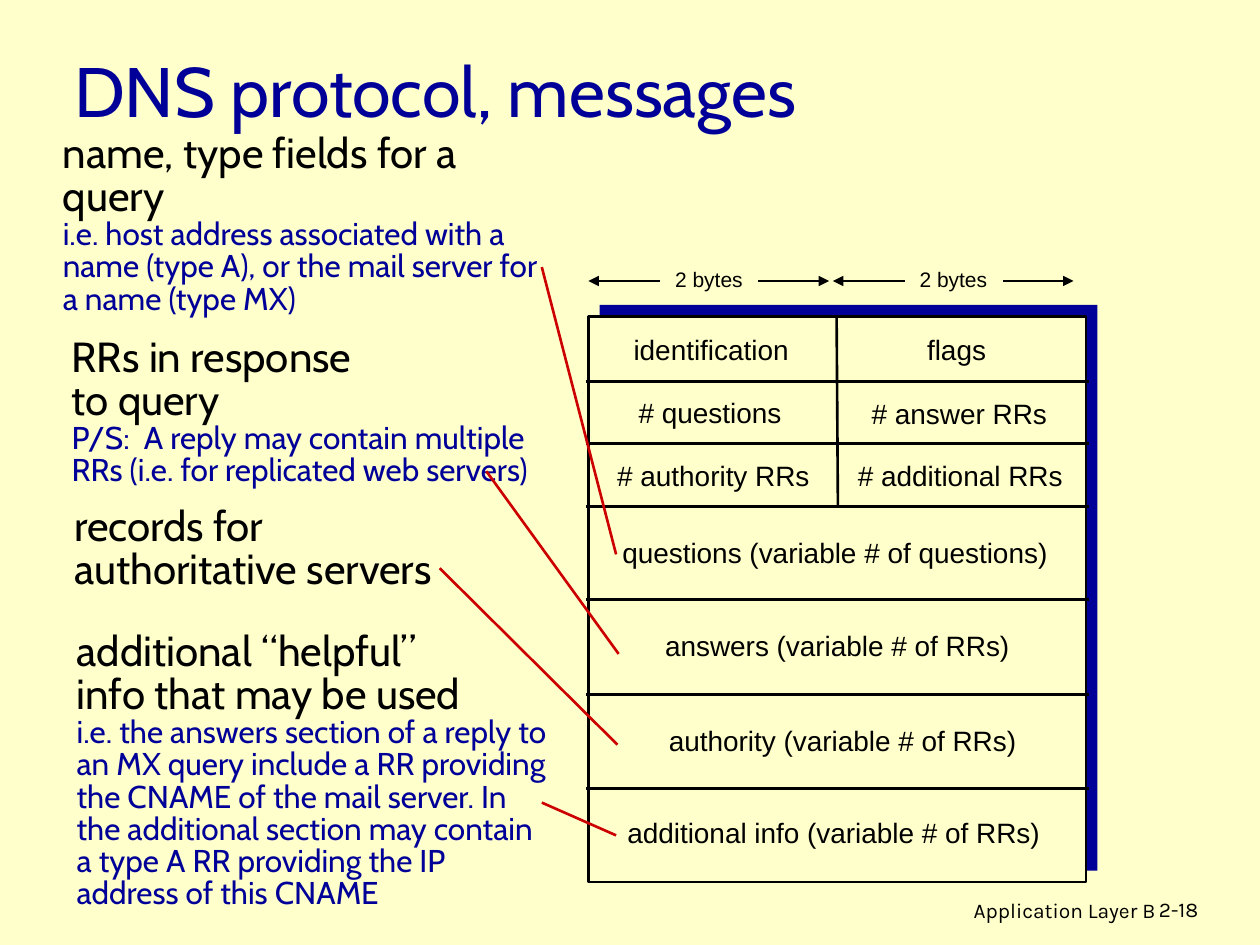
from dataclasses import dataclass

from lxml.etree import SubElement
from pptx import Presentation
from pptx.dml.color import RGBColor
from pptx.enum.shapes import MSO_CONNECTOR as Connector, MSO_SHAPE as Shape
from pptx.enum.text import MSO_ANCHOR as Anchor, PP_ALIGN as Align
from pptx.oxml.ns import qn
from pptx.util import Emu, Pt

PX = 9144  # 100 px to the inch
CREAM, NAVY, BLACK, RED = "FFFFCC", "000099", "000000", "CC0000"


@dataclass(frozen=True)
class Line:
    text: str
    size: int
    font: str
    color: str = BLACK


@dataclass(frozen=True)
class Box:
    left: int
    top: int
    width: int
    height: int


@dataclass(frozen=True)
class Note:
    box: Box
    heading: tuple[str, ...]
    detail: str = ""


@dataclass(frozen=True)
class Field:
    text: str
    box: Box


@dataclass(frozen=True)
class Segment:
    x1: int
    y1: int
    x2: int
    y2: int


def px(value: int) -> Emu:
    return Emu(value * PX)


def rgb(color: str) -> RGBColor:
    return RGBColor.from_string(color)


def add_text(slide, box: Box, lines: list[Line], anchor=Anchor.TOP, align=Align.LEFT,
             spacing: float = 1.0, wrap: bool = True) -> None:
    shape = slide.shapes.add_textbox(px(box.left), px(box.top), px(box.width), px(box.height))
    frame = shape.text_frame
    frame.word_wrap = wrap
    frame.vertical_anchor = anchor
    for index, line in enumerate(lines):
        paragraph = frame.add_paragraph() if index else frame.paragraphs[0]
        paragraph.text = line.text
        paragraph.alignment = align
        paragraph.line_spacing = spacing
        paragraph.font.size = Pt(line.size)
        paragraph.font.name = line.font
        paragraph.font.color.rgb = rgb(line.color)


def add_note(slide, note: Note) -> None:
    lines = [Line(text, 24, "Cabin") for text in note.heading]
    if note.detail:
        lines.append(Line(note.detail, 18, "Cabin", NAVY))
    add_text(slide, note.box, lines, Anchor.MIDDLE, spacing=0.85)


def add_rectangle(slide, box: Box, fill: str, outline: str = "") -> None:
    shape = slide.shapes.add_shape(
        Shape.RECTANGLE, px(box.left), px(box.top), px(box.width), px(box.height))
    shape.shadow.inherit = False
    shape.fill.solid()
    shape.fill.fore_color.rgb = rgb(fill)
    if outline:
        shape.line.color.rgb = rgb(outline)
        shape.line.width = Pt(1.5)
    else:
        shape.line.fill.background()


def add_line(slide, segment: Segment, color: str = BLACK, width: float = 1.5,
             arrow: bool = False) -> None:
    connector = slide.shapes.add_connector(
        Connector.STRAIGHT, px(segment.x1), px(segment.y1), px(segment.x2), px(segment.y2))
    connector.line.color.rgb = rgb(color)
    connector.line.width = Pt(width)
    if arrow:
        SubElement(connector.line._get_or_add_ln(), qn("a:tailEnd"), type="triangle")
    SubElement(connector._element.spPr, qn("a:effectLst"))


NOTES = [
    Note(Box(40, 101, 398, 156), ("name, type fields for a query",),
         "i.e. host address associated with a name (type A), "
         "or the mail server for a name (type MX)"),
    Note(Box(47, 263, 403, 130), ("RRs in response", "to query"),
         "P/S:  A reply may contain multiple RRs (i.e. for replicated web servers)"),
    Note(Box(49, 397, 376, 79), ("records for", "authoritative servers")),
    Note(Box(51, 496, 395, 233), ("additional “helpful”", "info that may be used"),
         "i.e. the answers section of a reply to an MX query include a RR providing "
         "the CNAME of the mail server. In the additional section may contain "
         "a type A RR providing the IP address of this CNAME"),
]

FIELDS = [
    Field("identification", Box(493, 259, 143, 37)),
    Field("flags", Box(726, 259, 67, 37)),
    Field("# questions", Box(497, 309, 134, 37)),
    Field("# answer RRs", Box(682, 310, 160, 37)),
    Field("# authority RRs", Box(480, 359, 173, 37)),
    Field("# additional RRs", Box(671, 359, 183, 37)),
    Field("questions (variable # of questions)", Box(484, 420, 359, 37)),
    Field("answers (variable # of RRs)", Box(518, 494, 294, 37)),
    Field("authority (variable # of RRs)", Box(521, 569, 297, 37)),
    Field("additional info (variable # of RRs)", Box(488, 642, 348, 37)),
]

ROW_LINES = [303, 352, 402, 476, 551, 626]

CALLOUTS = [
    Segment(489, 663, 430, 637),
    Segment(490, 591, 349, 451),
    Segment(491, 519, 386, 374),
    Segment(489, 440, 430, 212),
]


def main() -> None:
    presentation = Presentation()
    presentation.slide_width, presentation.slide_height = px(1000), px(750)
    slide = presentation.slides.add_slide(presentation.slide_layouts[6])
    slide.background.fill.solid()
    slide.background.fill.fore_color.rgb = rgb(CREAM)

    # Footer and title
    add_text(slide, Box(610, 707, 317, 31), [Line("Application Layer B", 12, "Karla")],
             align=Align.RIGHT)
    add_text(slide, Box(910, 707, 74, 30), [Line("2-18", 12, "Karla")])
    add_text(slide, Box(49, 24, 850, 94), [Line("DNS protocol, messages", 40, "Cabin", NAVY)],
             Anchor.MIDDLE)

    # Explanations on the left
    for note in NOTES:
        add_note(slide, note)

    # Message format: shadow, frame, dividers and field names
    add_rectangle(slide, Box(476, 242, 395, 449), NAVY)
    add_rectangle(slide, Box(467, 251, 395, 449), CREAM, BLACK)
    for y in ROW_LINES:
        add_line(slide, Segment(465, y, 864, y))
    add_line(slide, Segment(664, 252, 665, 401))
    for field in FIELDS:
        add_text(slide, field.box, [Line(field.text, 16, "Arial")], wrap=False)

    # Lines from the explanations to the fields
    for callout in CALLOUTS:
        add_line(slide, callout, RED)

    # Column widths above the message
    for left in (467, 661):
        add_text(slide, Box(left + 59, 207, 74, 30), [Line("2 bytes", 12, "Arial")], wrap=False)
        add_line(slide, Segment(left + 135, 223, left + 191, 223), width=0.75, arrow=True)
        add_line(slide, Segment(left + 57, 223, left, 223), width=0.75, arrow=True)

    presentation.save("out.pptx")


if __name__ == "__main__":
    main()
